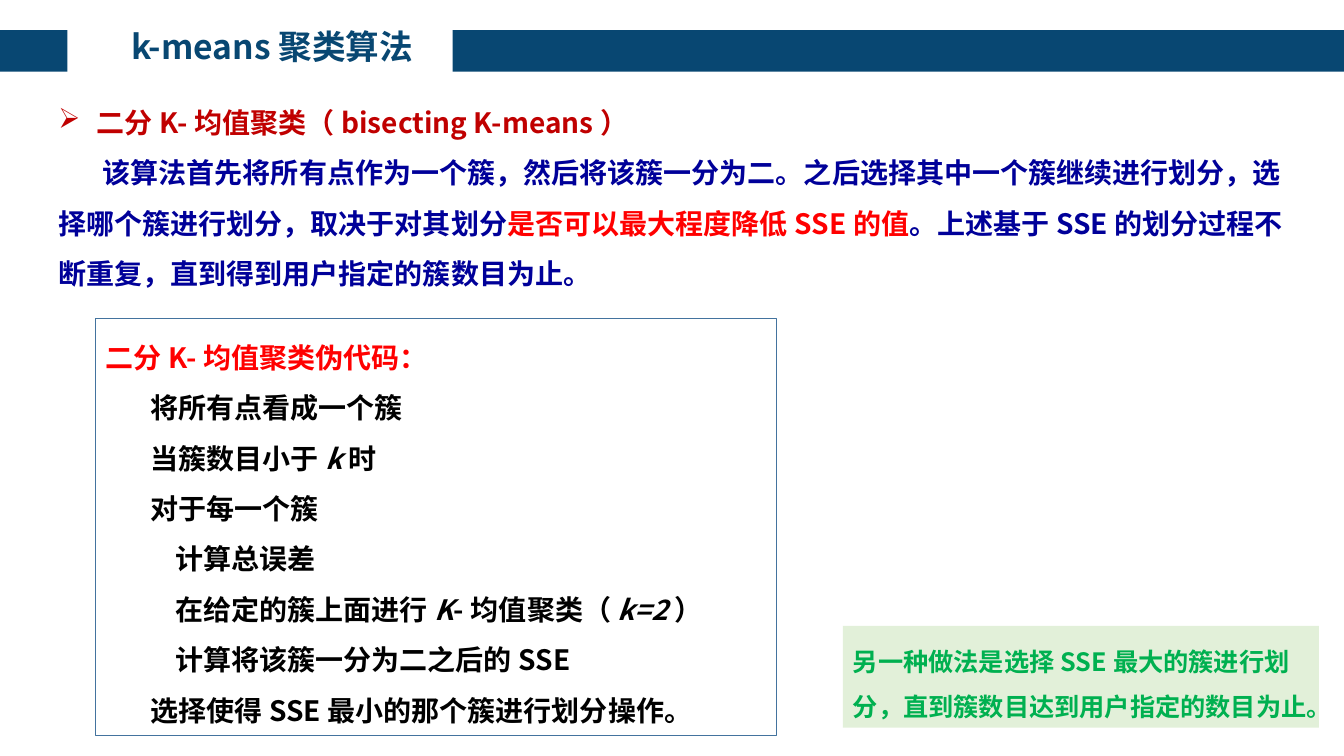
from lxml import etree
from pptx import Presentation
from pptx.dml.color import RGBColor
from pptx.enum.shapes import MSO_SHAPE
from pptx.enum.text import MSO_ANCHOR, MSO_AUTO_SIZE, PP_ALIGN
from pptx.oxml.ns import qn
from pptx.util import Inches, Pt

RECTANGLE = MSO_SHAPE.RECTANGLE
TOP = MSO_ANCHOR.TOP
GROW = MSO_AUTO_SIZE.SHAPE_TO_FIT_TEXT
LEFT, CENTER = PP_ALIGN.LEFT, PP_ALIGN.CENTER

FONT = "Noto Sans CJK SC"
NAVY = RGBColor(0x08, 0x47, 0x72)
DARK_RED = RGBColor(0xC0, 0x00, 0x00)
RED = RGBColor(0xFF, 0x00, 0x00)
BLUE = RGBColor(0x00, 0x00, 0x99)
BLACK = RGBColor(0x00, 0x00, 0x00)
FRAME_BLUE = RGBColor(0x43, 0x73, 0x9E)
PALE_GREEN = RGBColor(0xE2, 0xF0, 0xD9)
GREEN = RGBColor(0x00, 0xB0, 0x50)

STEP_INDENT = 0.44
SUBSTEP_INDENT = 0.69
BULLET_INDENT = 0.38

# Each line of pseudocode: indent, then (text, italic) pieces
PSEUDOCODE = [
    (STEP_INDENT, [("将所有点看成一个簇", False)]),
    (STEP_INDENT, [("当簇数目小于", False), ("k", True), ("时", False)]),
    (STEP_INDENT, [("对于每一个簇", False)]),
    (SUBSTEP_INDENT, [("计算总误差", False)]),
    (SUBSTEP_INDENT, [("在给定的簇上面进行", False), ("K", True),
                      ("-均值聚类（", False), ("k=2", True), ("）", False)]),
    (SUBSTEP_INDENT, [("计算将该簇一分为二之后的SSE", False)]),
    (STEP_INDENT, [("选择使得SSE最小的那个簇进行划分操作。", False)]),
]


def add_rectangle(slide, box, fill=None, line=None):
    rectangle = slide.shapes.add_shape(RECTANGLE, *map(Inches, box))
    rectangle.shadow.inherit = False
    if fill is None:
        rectangle.fill.background()
    else:
        rectangle.fill.solid()
        rectangle.fill.fore_color.rgb = fill
    if line is None:
        rectangle.line.fill.background()
    else:
        rectangle.line.color.rgb = line
        rectangle.line.width = Pt(1)
    return rectangle


def prepare_frame(shape):
    frame = shape.text_frame
    frame.word_wrap = True
    frame.auto_size = GROW
    frame.vertical_anchor = TOP
    return frame


def style_paragraph(paragraph, size, color, align=LEFT, spacing=1.5,
                    left=0, first=0):
    paragraph.alignment = align
    paragraph.line_spacing = spacing
    font = paragraph.font
    font.name, font.size, font.bold = FONT, Pt(size), True
    font.color.rgb = color
    properties = paragraph._p.get_or_add_pPr()
    properties.set("marL", str(Inches(left)))
    properties.set("indent", str(Inches(first)))
    # The East Asian typeface follows the Latin one
    latin = properties.find(qn("a:defRPr")).find(qn("a:latin"))
    east_asian = etree.Element(qn("a:ea"), typeface=FONT)
    latin.addnext(east_asian)


def add_bullet(paragraph, character):
    bullet = etree.Element(qn("a:buChar"), char=character)
    paragraph._p.pPr.find(qn("a:defRPr")).addprevious(bullet)


def build_header(slide, box):
    left, top, width, height = box
    bar_left, stub_width = 4.49, 0.67
    add_rectangle(slide, (left + bar_left, top, width - bar_left, height), NAVY)
    add_rectangle(slide, (left, top, stub_width, height), NAVY)
    title_box = (left + 0.59, top - 0.09, 4.22, 0.5)
    title = prepare_frame(slide.shapes.add_textbox(*map(Inches, title_box)))
    title.text = "k-means聚类算法"
    style_paragraph(title.paragraphs[0], 24, NAVY, CENTER, spacing=1.0)


def build_introduction(slide, box):
    introduction = prepare_frame(slide.shapes.add_textbox(*map(Inches, box)))
    heading = introduction.paragraphs[0]
    heading.text = "二分K-均值聚类（bisecting K-means）"
    style_paragraph(heading, 20, DARK_RED, left=BULLET_INDENT,
                    first=-BULLET_INDENT)
    add_bullet(heading, "➢")

    description = introduction.add_paragraph()
    style_paragraph(description, 20, BLUE, first=STEP_INDENT)
    for text, color in [
        ("该算法首先将所有点作为一个簇，然后将该簇一分为二。之后选择其中一个簇"
         "继续进行划分，选择哪个簇进行划分，取决于对其划分", BLUE),
        ("是否可以最大程度降低SSE的值", RED),
        ("。上述基于SSE的划分过程不断重复，直到得到用户指定的簇数目为止。", BLUE),
    ]:
        run = description.add_run()
        run.text = text
        run.font.color.rgb = color


def build_pseudocode(slide, box):
    pseudocode = prepare_frame(add_rectangle(slide, box, line=FRAME_BLUE))
    heading = pseudocode.paragraphs[0]
    heading.text = "二分K-均值聚类伪代码："
    style_paragraph(heading, 20, RED)
    for indent, pieces in PSEUDOCODE:
        step = pseudocode.add_paragraph()
        style_paragraph(step, 20, BLACK, left=indent)
        for text, italic in pieces:
            run = step.add_run()
            run.text = text
            if italic:
                run.font.italic = True


def build_note(slide, box):
    note = prepare_frame(add_rectangle(slide, box, fill=PALE_GREEN))
    note.text = "另一种做法是选择SSE最大的簇进行划分，直到簇数目达到用户指定的数目为止。"
    style_paragraph(note.paragraphs[0], 18, GREEN)


def main():
    presentation = Presentation()
    presentation.slide_width = Inches(13.33)
    presentation.slide_height = Inches(7.5)
    slide = presentation.slides.add_slide(presentation.slide_layouts[6])
    build_header(slide, (0, 0.3, 13.33, 0.41))
    build_introduction(slide, (0.48, 0.83, 12.38, 2.12))
    build_pseudocode(slide, (0.95, 3.16, 6.75, 4.14))
    build_note(slide, (8.36, 6.21, 4.72, 1.01))
    presentation.save("out.pptx")


if __name__ == "__main__":
    main()
